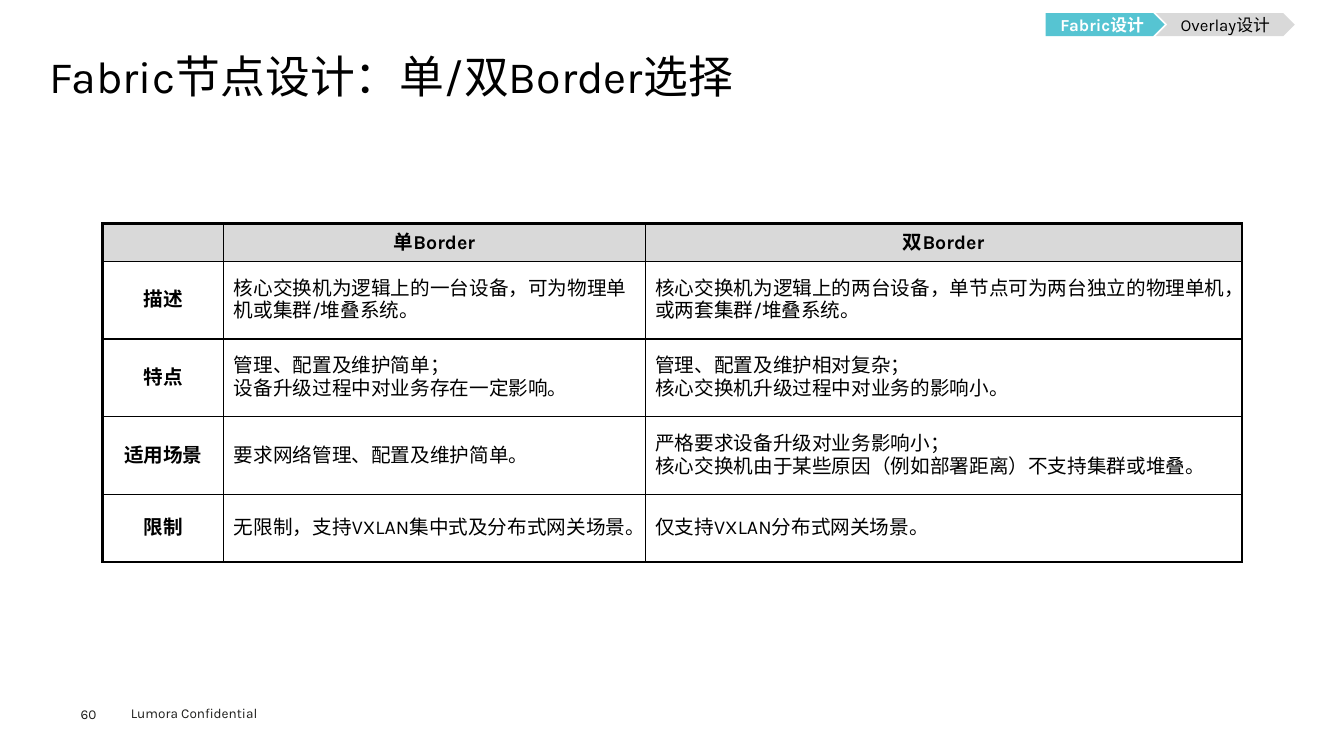
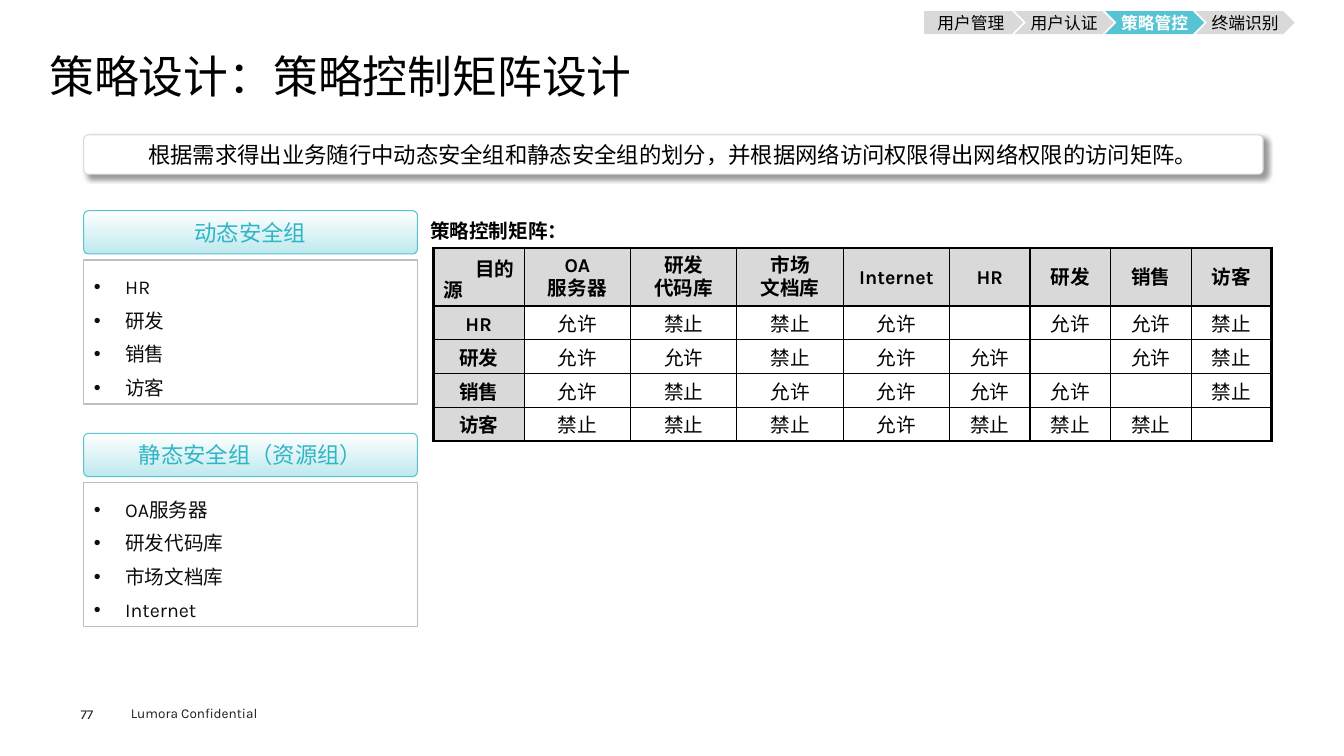
"""Build two campus network design slides: border node choice and policy matrix."""
from lxml import etree
from pptx import Presentation
from pptx.dml.color import RGBColor
from pptx.enum.lang import MSO_LANGUAGE_ID
from pptx.enum.shapes import MSO_SHAPE
from pptx.enum.text import MSO_ANCHOR, MSO_AUTO_SIZE, PP_ALIGN
from pptx.oxml.ns import qn
from pptx.util import Cm, Pt

CENTER, LEFT = PP_ALIGN.CENTER, PP_ALIGN.LEFT
MIDDLE, BOTTOM = MSO_ANCHOR.MIDDLE, MSO_ANCHOR.BOTTOM
NO_FIT = MSO_AUTO_SIZE.NONE
ROUND, PENTAGON, CHEVRON = MSO_SHAPE.ROUNDED_RECTANGLE, MSO_SHAPE.PENTAGON, MSO_SHAPE.CHEVRON
CHINESE = MSO_LANGUAGE_ID.SIMPLIFIED_CHINESE

FONT = "Karla"
COLORS = {
    "black": "000000", "white": "FFFFFF", "footer": "1D1D1B", "list": "0D0D0D",
    "grey": "D9D9D9", "outline": "BFBFBF",
    "teal": "56C4D2", "pale": "BEE9EE", "heading": "30B5C5",
}
FOOTER = "Lumora Confidential"
TABS_RIGHT, TAB_HEIGHT, TAB_OVERLAP = 32.63, 0.58, 0.22

BORDER_SLIDE = {
    "title": "Fabric节点设计：单/双Border选择",
    "number": "60",
    "tabs": [("Fabric设计", 3.0), ("Overlay设计", 3.5)],
    "active": "Fabric设计",
    "tabs_top": 0.33,
}
BORDER_COLS = [3.05, 10.62, 15.04]
BORDER_ROWS = [0.94, 1.96, 1.96, 1.96, 1.7]
BORDER_TABLE = [
    ["", "单Border", "双Border"],
    ["描述", "核心交换机为逻辑上的一台设备，可为物理单机或集群/堆叠系统。",
     "核心交换机为逻辑上的两台设备，单节点可为两台独立的物理单机，或两套集群/堆叠系统。"],
    ["特点", "管理、配置及维护简单；\n设备升级过程中对业务存在一定影响。",
     "管理、配置及维护相对复杂；\n核心交换机升级过程中对业务的影响小。"],
    ["适用场景", "要求网络管理、配置及维护简单。",
     "严格要求设备升级对业务影响小；\n核心交换机由于某些原因（例如部署距离）不支持集群或堆叠。"],
    ["限制", "无限制，支持VXLAN集中式及分布式网关场景。", "仅支持VXLAN分布式网关场景。"],
]

POLICY_SLIDE = {
    "title": "策略设计：策略控制矩阵设计",
    "number": "77",
    "tabs": [(label, 2.5) for label in ("用户管理", "用户认证", "策略管控", "终端识别")],
    "active": "策略管控",
    "tabs_top": 0.28,
}
BANNER = "根据需求得出业务随行中动态安全组和静态安全组的划分，并根据网络访问权限得出网络权限的访问矩阵。"
GROUPS = [
    ("动态安全组", ["HR", "研发", "销售", "访客"]),
    ("静态安全组（资源组）", ["OA服务器", "研发代码库", "市场文档库", "Internet"]),
]
GROUP_LEFT, GROUP_TOP, GROUP_WIDTH, GROUP_STEP = 2.11, 5.31, 8.41, 5.61
MATRIX_COLS = [2.29] + [2.68] * 4 + [2.03] * 4
MATRIX_ROWS = [1.46] + [0.85] * 4
YES, NO = "允许", "禁止"
MATRIX = [
    ["", "OA\n服务器", "研发\n代码库", "市场\n文档库", "Internet", "HR", "研发", "销售", "访客"],
    ["HR", YES, NO, NO, YES, "", YES, YES, NO],
    ["研发", YES, YES, NO, YES, YES, "", YES, NO],
    ["销售", YES, NO, YES, YES, YES, YES, "", NO],
    ["访客", NO, NO, NO, YES, NO, NO, NO, ""],
]
MATRIX_LABELS = [
    ("源", 10.92, 6.63, 0.86),
    ("目的", 11.73, 6.1, 1.78),
    ("策略控制矩阵：", 10.59, 5.13, 3.89),
]


def rgb(name):
    return RGBColor.from_string(COLORS[name])


def box(left, top, width, height):
    return Cm(left), Cm(top), Cm(width), Cm(height)


def write(tf, lines, size, color="black", bold=False, align=LEFT, spacing=1.0):
    for i, line in enumerate(lines):
        p = tf.paragraphs[0] if i == 0 else tf.add_paragraph()
        p.alignment, p.line_spacing, p.space_before = align, spacing, Pt(0)
        if not line:
            etree.SubElement(p._p, qn("a:endParaRPr"), sz=str(size * 100))
            continue
        r = p.add_run()
        r.text = line
        r.font.size, r.font.bold = Pt(size), bold
        r.font.language_id = CHINESE
        r.font.color.rgb = rgb(color)
        r.font.name = FONT
        etree.SubElement(r.font._element, qn("a:ea"), typeface=FONT)


def set_margins(target, left=0, top=0, right=0, bottom=0):
    target.margin_left, target.margin_top = Cm(left), Cm(top)
    target.margin_right, target.margin_bottom = Cm(right), Cm(bottom)


def add_text(s, place, lines, size, **style):
    tf = s.shapes.add_textbox(*box(*place)).text_frame
    tf.word_wrap = False
    write(tf, lines, size, **style)
    return tf


def add_block(s, kind, place, text, size, color="black", bold=False, fill=None, line=None):
    sp = s.shapes.add_shape(kind, *box(*place))
    sp.shadow.inherit = False
    if fill:
        sp.fill.solid()
        sp.fill.fore_color.rgb = rgb(fill)
    if line:
        sp.line.color.rgb = rgb(line)
        sp.line.width = Pt(0.75)
    else:
        sp.line.fill.background()
    if kind == ROUND:
        sp.adjustments[0] = 0.11
    tf = sp.text_frame
    tf.vertical_anchor = MIDDLE
    tf.word_wrap = True
    set_margins(tf)
    write(tf, [text], size, color, bold, CENTER)
    return sp


def add_tabs(s, tabs, active, top):
    left = TABS_RIGHT - sum(w for _, w in tabs) + TAB_OVERLAP * (len(tabs) - 1)
    for i, (label, width) in enumerate(tabs):
        on = label == active
        add_block(s, CHEVRON if i else PENTAGON, (left, top, width, TAB_HEIGHT), label, 12,
                  "white" if on else "black", on, "teal" if on else "grey")
        left += width - TAB_OVERLAP


def add_page(prs, layout, info):
    s = prs.slides.add_slide(prs.slide_layouts[layout])
    title = s.shapes.title
    title.left, title.top, title.width, title.height = box(1.24, 1.24, 31.37, 1.37)
    tf = title.text_frame
    tf.auto_size, tf.vertical_anchor = NO_FIT, BOTTOM
    set_margins(tf)
    write(tf, [info["title"]], 32, spacing=0.9)
    add_text(s, (3.05, 17.65, 4.06, 0.69), [FOOTER], 9.7, color="footer")
    set_margins(add_text(s, (2.03, 17.78, 1.4, 0.41), [info["number"]], 9.7, color="footer"))
    add_tabs(s, info["tabs"], info["active"], info["tabs_top"])
    return s


def set_borders(cell, widths):
    tcPr = cell._tc.get_or_add_tcPr()
    for side, width in zip("LRTB", widths):
        ln = etree.SubElement(tcPr, qn(f"a:ln{side}"), w=str(Pt(width)))
        fill = etree.SubElement(ln, qn("a:solidFill"))
        etree.SubElement(fill, qn("a:srgbClr"), val=COLORS["black"])


def add_grid(s, left, top, cols, rows, data, body_align, grey_column=False, margins=None):
    place = box(left, top, sum(cols), sum(rows))
    table = s.shapes.add_table(len(rows), len(cols), *place).table
    table.first_row = table.horz_banding = False
    for column, width in zip(table.columns, cols):
        column.width = Cm(width)
    for i, (height, values) in enumerate(zip(rows, data)):
        table.rows[i].height = Cm(height)
        for j, value in enumerate(values):
            cell = table.cell(i, j)
            edges = (j == 0, j == len(cols) - 1, i == 0, i == len(rows) - 1)
            set_borders(cell, [2.25 if edge else 1 for edge in edges])
            if i == 0 or (grey_column and j == 0):
                cell.fill.solid()
                cell.fill.fore_color.rgb = rgb("grey")
            else:
                cell.fill.background()
            cell.vertical_anchor = MIDDLE
            if margins:
                set_margins(cell, **margins[min(i, 1)])
            header = i == 0 or j == 0
            write(cell.text_frame, value.split("\n"), 14, bold=header,
                  align=CENTER if header else body_align)


def add_banner(s):
    sp = add_block(s, ROUND, (2.11, 3.4, 29.72, 0.99), BANNER, 16, fill="white", line="grey")
    effects = sp._element.spPr.find(qn("a:effectLst"))
    shadow = etree.SubElement(effects, qn("a:outerShdw"), blurRad=str(Pt(4)), dist=str(Pt(3)),
                              dir="2700000", algn="tl", rotWithShape="0")
    color = etree.SubElement(shadow, qn("a:srgbClr"), val=COLORS["black"])
    etree.SubElement(color, qn("a:alpha"), val="40000")


def add_group(s, body, top, heading, items):
    sp = add_block(s, ROUND, (GROUP_LEFT, top, GROUP_WIDTH, 1.09), heading, 16, "heading",
                   line="teal")
    sp.fill.gradient()
    sp.fill.gradient_angle = 270
    for stop, position, name in zip(sp.fill.gradient_stops, (0, 1), ("white", "pale")):
        stop.position, stop.color.rgb = position, rgb(name)
    body.left, body.top, body.width, body.height = box(GROUP_LEFT, top + 1.24, GROUP_WIDTH, 3.63)
    body.line.color.rgb = rgb("outline")
    body.line.width = Pt(1)
    tf = body.text_frame
    tf.auto_size, tf.vertical_anchor = NO_FIT, MIDDLE
    write(tf, items, 14, "list", spacing=Pt(24))
    for p in tf.paragraphs:
        pPr = p._p.get_or_add_pPr()
        pPr.set("marL", str(Cm(0.79)))
        pPr.set("indent", str(-Cm(0.79)))


def build_border(prs):
    s = add_page(prs, 5, BORDER_SLIDE)
    add_grid(s, 2.59, 5.64, BORDER_COLS, BORDER_ROWS, BORDER_TABLE, LEFT)


def build_policy(prs):
    s = add_page(prs, 3, POLICY_SLIDE)
    add_banner(s)
    bodies = [ph for ph in s.placeholders if ph.placeholder_format.idx in (1, 2)]
    for i, (body, (heading, items)) in enumerate(zip(bodies, GROUPS)):
        add_group(s, body, GROUP_TOP + i * GROUP_STEP, heading, items)
    add_grid(s, 10.92, 6.25, MATRIX_COLS, MATRIX_ROWS, MATRIX, CENTER, True,
             [{"top": 0.03}, {"top": 0.12}])
    for text, left, top, width in MATRIX_LABELS:
        add_text(s, (left, top, width, 1.12), [text], 14, bold=True, spacing=Pt(24))


def main():
    prs = Presentation()
    prs.slide_width, prs.slide_height = Cm(33.87), Cm(19.05)
    build_border(prs)
    build_policy(prs)
    prs.save("out.pptx")


if __name__ == "__main__":
    main()
